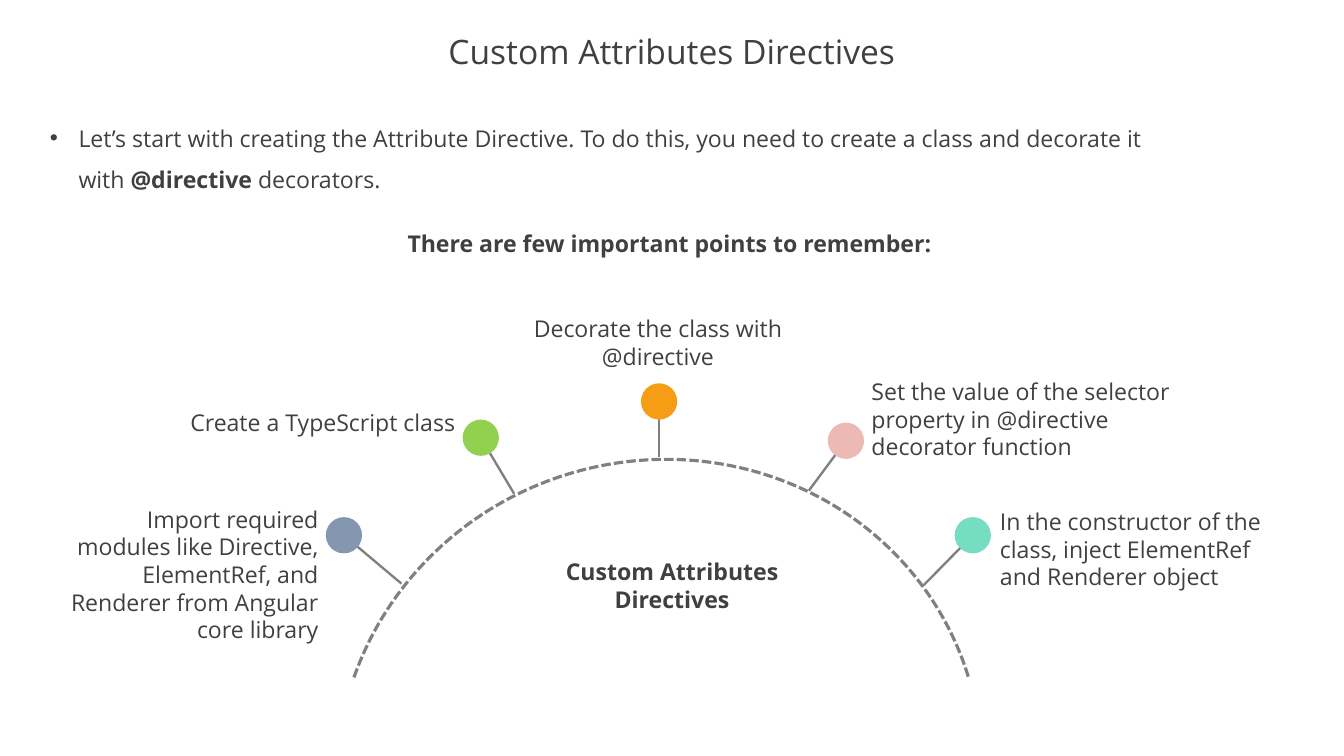
from dataclasses import dataclass

from lxml import etree
from pptx import Presentation
from pptx.dml.color import RGBColor
from pptx.enum.dml import MSO_LINE_DASH_STYLE as Dash
from pptx.enum.shapes import MSO_CONNECTOR as Conn, MSO_SHAPE as Shape
from pptx.enum.text import MSO_ANCHOR as Anchor, MSO_AUTO_SIZE as Fit, PP_ALIGN as Align
from pptx.oxml.ns import qn
from pptx.util import Inches, Pt


@dataclass(frozen=True)
class Theme:
    font: str = "Open Sans"
    title: int = 32
    body: int = 22
    ink: str = "404040"
    line: str = "808080"
    blue: str = "8497B0"
    green: str = "92D050"
    orange: str = "F49D15"
    pink: str = "EDB9B5"
    teal: str = "75DDC2"


class Deck:
    def __init__(self, theme, width, height):
        self.theme = theme
        self.prs = Presentation()
        self.prs.slide_width, self.prs.slide_height = Inches(width), Inches(height)
        self.s = self.prs.slides.add_slide(self.prs.slide_layouts[6])

    def x(self, share):
        return round(self.prs.slide_width * share / 100)

    def y(self, share):
        return round(self.prs.slide_height * share / 100)

    def box(self, left, top, width, height):
        return self.x(left), self.y(top), self.x(width), self.y(height)

    def text(self, place, runs, align=Align.LEFT, size=None, bold=False, spacing=1.0,
             wrap=True, anchor=Anchor.TOP, bullet=False, right_inset=0.1):
        tf = self.s.shapes.add_textbox(*self.box(*place)).text_frame
        tf.word_wrap = wrap
        tf.margin_right = Inches(right_inset)
        tf.vertical_anchor = anchor
        tf.auto_size = Fit.SHAPE_TO_FIT_TEXT if anchor == Anchor.TOP else Fit.NONE
        p = tf.paragraphs[0]
        p.alignment, p.line_spacing = align, spacing
        if bullet:
            self.bullet(p)
        p.font.name, p.font.size = self.theme.font, Pt(size or self.theme.body)
        p.font.color.rgb = RGBColor.from_string(self.theme.ink)
        if bold:
            p.font.bold = True
        for content, strong in runs:
            r = p.add_run()
            r.text = content
            if strong:
                r.font.bold = True

    def bullet(self, p):
        props = p._p.get_or_add_pPr()
        indent = Inches(0.38)
        props.set("marL", str(indent))
        props.set("indent", str(-indent))
        etree.SubElement(props, qn("a:buFont")).set("typeface", "Arial")
        etree.SubElement(props, qn("a:buChar")).set("char", "•")

    def arc(self, place, start, end, rotation):
        sp = self.s.shapes.add_shape(Shape.ARC, *self.box(*place))
        sp.adjustments[0], sp.adjustments[1] = start * 0.6, end * 0.6
        sp.rotation = rotation
        sp.shadow.inherit = False
        sp.fill.background()
        self.stroke(sp.line, 3)
        sp.line.dash_style = Dash.SQUARE_DOT

    def stroke(self, line, width):
        line.color.rgb = RGBColor.from_string(self.theme.line)
        line.width = Pt(width)

    def pin(self, foot, head, color, diameter=0.48):
        shapes = self.s.shapes.add_group_shape().shapes
        hx, hy = self.x(head[0]), self.y(head[1])
        stem = shapes.add_connector(Conn.STRAIGHT, self.x(foot[0]), self.y(foot[1]), hx, hy)
        self.stroke(stem.line, 2.25)
        etree.SubElement(stem._element.spPr, qn("a:effectLst"))
        d = Inches(diameter)
        dot = shapes.add_shape(Shape.OVAL, hx - d // 2, hy - d // 2, d, d)
        dot.shadow.inherit = False
        dot.fill.solid()
        dot.fill.fore_color.rgb = RGBColor.from_string(color)
        dot.line.fill.background()


def main():
    theme = Theme()
    deck = Deck(theme, 17.78, 10)

    deck.text((0, 3.5, 100, 7.3), [("Custom Attributes Directives", False)],
              Align.CENTER, theme.title, spacing=0.9, anchor=Anchor.MIDDLE)
    deck.text((3.15, 14.1, 92.52, 12.1), [
        ("Let’s start with creating the Attribute Directive. To do this, you need "
         "to create a class and decorate it with ", False),
        ("@directive", True),
        (" decorators.", False),
    ], spacing=1.5, bullet=True, right_inset=1.6)
    deck.text((29.53, 29.8, 40.55, 4.7), [("There are few important points to remember:", False)],
              Align.CENTER, bold=True, wrap=False)

    deck.arc((25.87, 59.3, 46.34, 85.6), 304.91, 90.8, 252.3)
    deck.text((39.88, 73.3, 20.25, 8.4), [("Custom Attributes Directives", False)],
              Align.CENTER, bold=True)

    points = [
        ("Import required modules like Directive, ElementRef, and Renderer from Angular core library",
         (3.99, 66.3, 20.25, 19.5), Align.RIGHT, (29.87, 77.2), (25.59, 70.8), theme.blue),
        ("Create a TypeScript class",
         (12.71, 53.6, 21.71, 4.7), Align.RIGHT, (38.25, 65.3), (35.77, 57.9), theme.green),
        ("Decorate the class with @directive",
         (37.96, 41.1, 21.99, 8.4), Align.CENTER, (49.04, 60.5), (49.04, 53.1), theme.orange),
        ("Set the value of the selector property in @directive decorator function",
         (64.29, 49.4, 25.14, 12.1), Align.LEFT, (60.18, 64.9), (62.94, 58.3), theme.pink),
        ("In the constructor of the class, inject ElementRef and Renderer object",
         (73.85, 66.6, 22.67, 12.1), Align.LEFT, (68.73, 77.4), (72.38, 70.8), theme.teal),
    ]
    for label, place, align, foot, head, color in points:
        deck.text(place, [(label, False)], align)
        deck.pin(foot, head, color)

    deck.prs.save("out.pptx")


if __name__ == "__main__":
    main()
